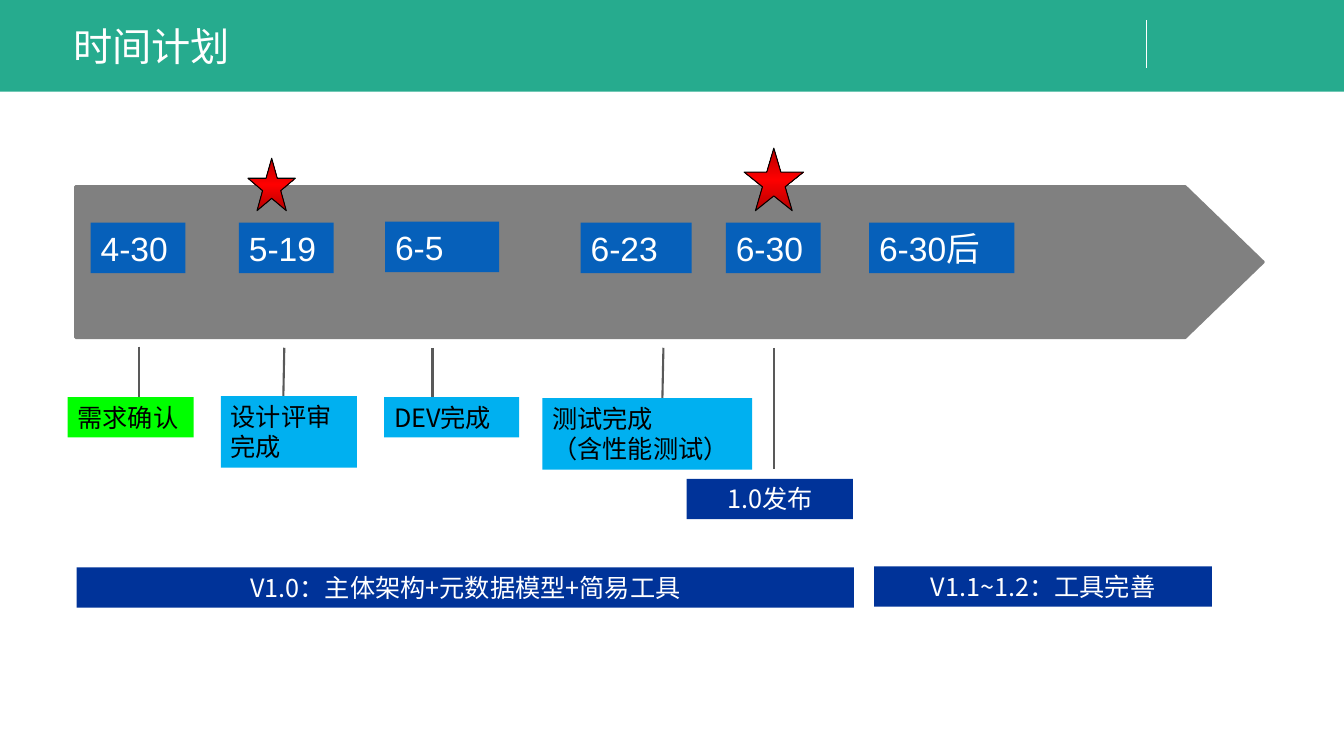
from copy import deepcopy

from lxml.etree import SubElement
from pptx import Presentation
from pptx.dml.color import RGBColor
from pptx.enum.shapes import MSO_CONNECTOR, MSO_SHAPE
from pptx.enum.text import MSO_ANCHOR, MSO_AUTO_SIZE, PP_ALIGN
from pptx.oxml.ns import qn
from pptx.util import Inches, Pt

CJK = "Noto Sans CJK SC"
WHITE, BLACK, GREY = "FFFFFF", "000000", "808080"
TEAL, BLUE, NAVY = "26AB8E", "0660BA", "003399"
GREEN, SKY, STEM = "00FF00", "00B0F0", "595959"
DARK_RED, RED = "B60000", "FF0000"

DATE = {"size": 24, "name": "Arial", "color": WHITE}
TASK = {"size": 18, "name": CJK, "color": BLACK}
RELEASE = {"size": 18, "name": CJK, "color": WHITE}
TITLE = {"size": 28, "name": CJK, "color": WHITE}

# text, left, top, width
DATES = [
    ("4-30", 0.9, 2.21, 0.94),
    ("5-19", 2.37, 2.21, 0.94),
    ("6-5", 3.82, 2.2, 1.13),
    ("6-23", 5.76, 2.21, 1.1),
    ("6-30", 7.2, 2.21, 0.94),
    ("6-30后", 8.62, 2.21, 1.44),
]
# text, left, top, width, height, fill
TASKS = [
    ("需求确认", 0.67, 3.94, 1.25, 0.4, GREEN),
    ("设计评审完成", 2.19, 3.93, 1.35, 0.71, SKY),
    ("DEV完成", 3.81, 3.94, 1.34, 0.4, SKY),
    ("测试完成\n（含性能测试）", 5.38, 3.95, 2.08, 0.71, SKY),
]
# text, left, top, width
RELEASES = [
    ("1.0发布", 6.81, 4.75, 1.65),
    ("V1.0：主体架构+元数据模型+简易工具", 0.76, 5.63, 7.71),
    ("V1.1~1.2：工具完善", 8.67, 5.62, 3.35),
]
# top x, top y, bottom x, bottom y
STEMS = [
    (1.38, 3.44, 1.38, 3.94),
    (2.82, 3.45, 2.81, 3.95),
    (4.29, 3.45, 4.29, 3.95),
    (6.58, 3.45, 6.57, 3.95),
    (7.68, 3.45, 7.68, 4.65),
]
STARS = [(2.46, 1.57, 0.47, 0.52), (7.38, 1.47, 0.59, 0.62)]


def rgb(color):
    return RGBColor.from_string(color)


def add_shape(s, kind, box, fill=None, line=None, width=1):
    sp = s.shapes.add_shape(kind, *map(Inches, box))
    sp.shadow.inherit = False
    if fill:
        sp.fill.solid()
        sp.fill.fore_color.rgb = rgb(fill)
    if line:
        sp.line.color.rgb = rgb(line)
        sp.line.width = Pt(width)
    else:
        sp.line.fill.background()
    return sp


def add_line(s, ends, color, width):
    cn = s.shapes.add_connector(MSO_CONNECTOR.STRAIGHT, *map(Inches, ends))
    cn.line.color.rgb = rgb(color)
    cn.line.width = Pt(width)
    SubElement(cn._element.spPr, qn("a:effectLst"))


def write(sp, text, font, align=PP_ALIGN.LEFT, **frame):
    tf = sp.text_frame
    frame = {"word_wrap": True, "vertical_anchor": MSO_ANCHOR.TOP, **frame}
    for key, value in frame.items():
        setattr(tf, key, value)
    for i, line in enumerate(text.split("\n")):
        p = tf.add_paragraph() if i else tf.paragraphs[0]
        p.alignment = align
        r = p.add_run()
        r.text = line
        for key, value in {"size": Pt(font["size"]), "name": font["name"]}.items():
            setattr(r.font, key, value)
        r.font.color.rgb = rgb(font["color"])
        # Chinese characters take the East Asian typeface
        SubElement(r._r.get_or_add_rPr(), qn("a:ea"), typeface=CJK)


def add_label(s, text, box, fill, font, align=PP_ALIGN.LEFT):
    sp = add_shape(s, MSO_SHAPE.RECTANGLE, box, fill)
    write(sp, text, font, align, auto_size=MSO_AUTO_SIZE.SHAPE_TO_FIT_TEXT)


def add_star(s, box):
    sp = add_shape(s, MSO_SHAPE.STAR_5_POINT, box, line=BLACK, width=0.75)
    sp.fill.gradient()
    sp.fill.gradient_angle = 90
    # A third stop makes the bright band in the middle
    first = sp.fill._xPr.find(qn("a:gradFill")).find(qn("a:gsLst"))[0]
    first.addnext(deepcopy(first))
    stops = zip(sp.fill.gradient_stops, (0, 0.5, 1), (DARK_RED, RED, DARK_RED))
    for stop, position, color in stops:
        stop.position = position
        stop.color.rgb = rgb(color)


def add_header(s):
    add_shape(s, MSO_SHAPE.RECTANGLE, (0, 0, 13.33, 0.91), TEAL)
    add_line(s, (11.37, 0.2, 11.37, 0.67), WHITE, 0.5)
    title = s.shapes.add_textbox(*map(Inches, (0.63, 0.1, 9.57, 0.71)))
    write(title, "时间计划", TITLE, vertical_anchor=MSO_ANCHOR.MIDDLE)


def main():
    prs = Presentation()
    prs.slide_width, prs.slide_height = Inches(13.33), Inches(7.5)
    s = prs.slides.add_slide(prs.slide_layouts[6])
    add_header(s)

    # Timeline arrow with its dates
    arrow = add_shape(s, MSO_SHAPE.PENTAGON, (0.75, 1.85, 11.78, 1.5), GREY, GREY, 2)
    arrow.adjustments[0] = 0.517
    for text, left, top, width in DATES:
        add_label(s, text, (left, top, width, 0.5), BLUE, DATE)

    # Milestones below the arrow
    for ends in STEMS:
        add_line(s, ends, STEM, 1.5)
    for text, *box, fill in TASKS:
        add_label(s, text, box, fill, TASK)

    # Releases
    for text, left, top, width in RELEASES:
        add_label(s, text, (left, top, width, 0.4), NAVY, RELEASE, PP_ALIGN.CENTER)

    # Key dates
    for box in STARS:
        add_star(s, box)

    prs.save("out.pptx")


if __name__ == "__main__":
    main()
